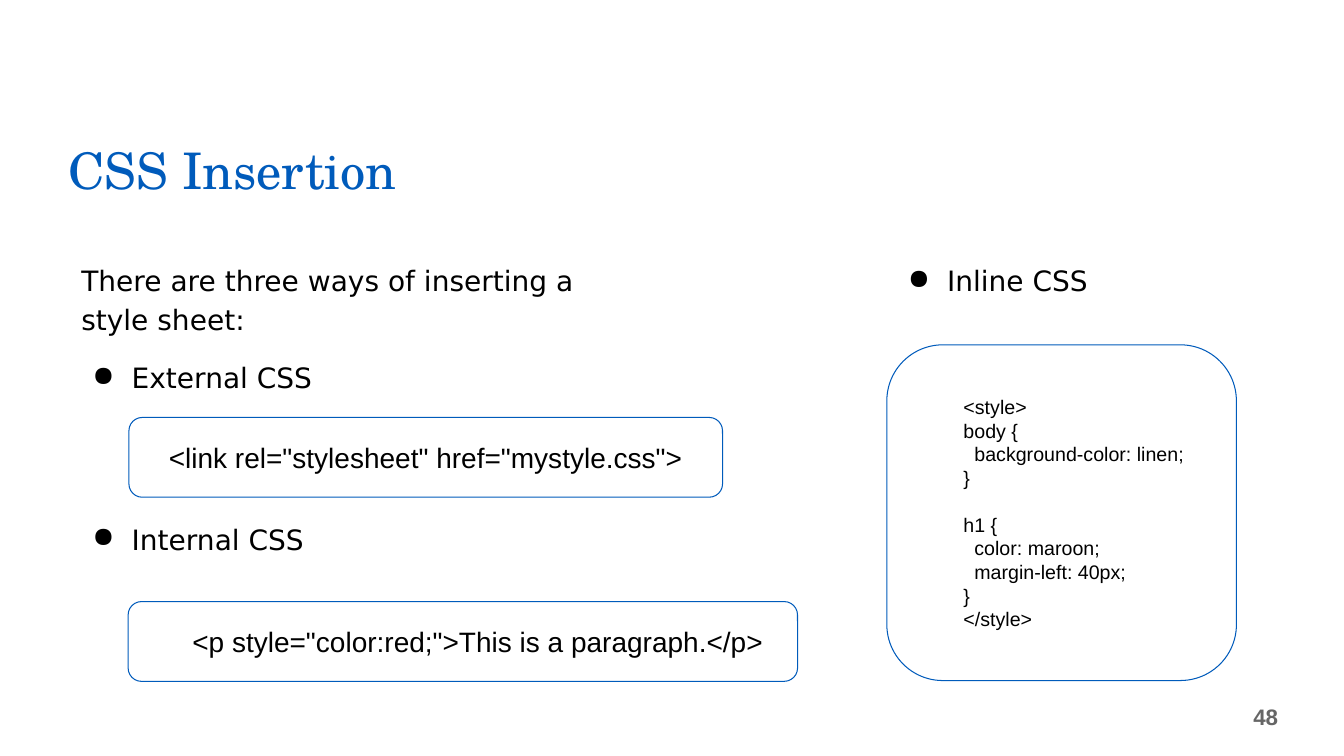
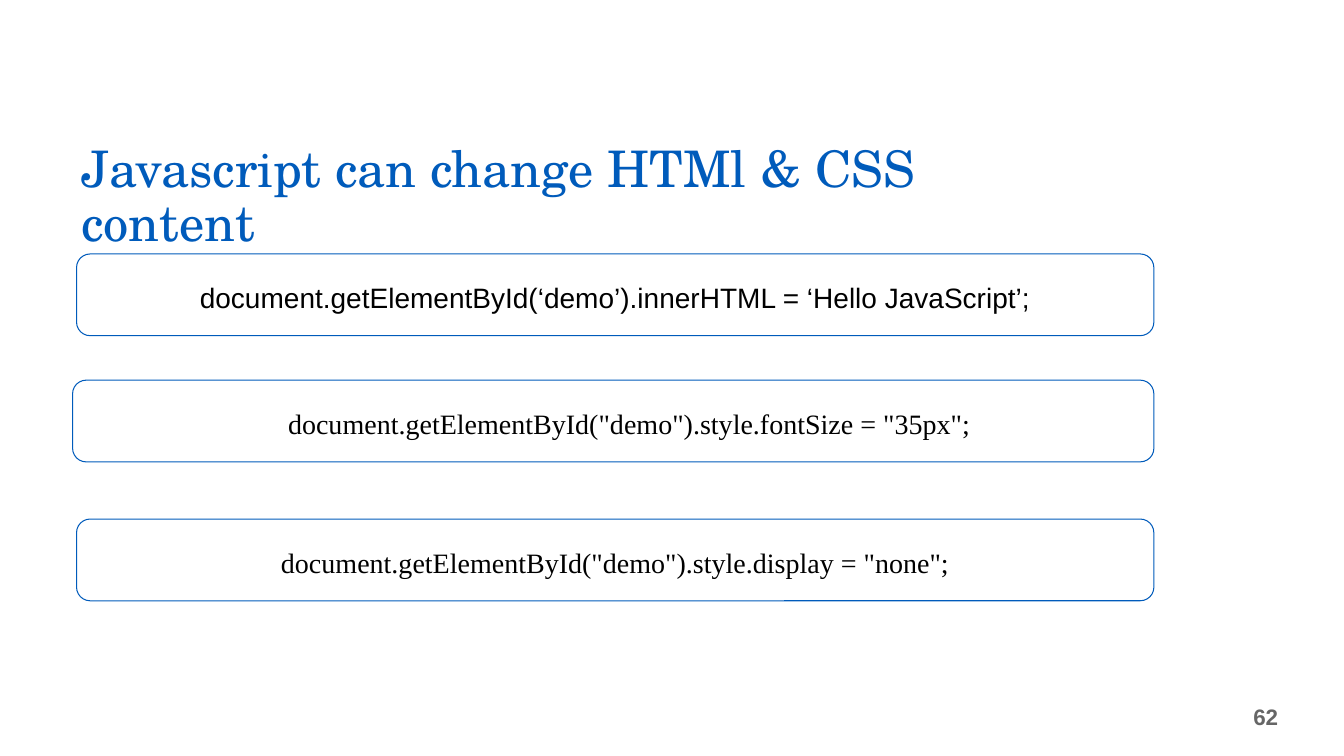
from dataclasses import dataclass
from typing import Any, Optional

from lxml.etree import SubElement
from pptx import Presentation
from pptx.dml.color import RGBColor
from pptx.enum.shapes import MSO_SHAPE
from pptx.enum.text import MSO_ANCHOR, PP_ALIGN
from pptx.oxml.ns import qn
from pptx.util import Cm, Pt


# Theme: colours, fonts and type sizes
@dataclass(frozen=True)
class Theme:
    blue: RGBColor = RGBColor(0x00, 0x5B, 0xBB)
    black: RGBColor = RGBColor(0, 0, 0)
    white: RGBColor = RGBColor(0xFF, 0xFF, 0xFF)
    grey: RGBColor = RGBColor(0x66, 0x66, 0x66)
    title_font: str = "TeX Gyre Schola"
    body_font: str = "DejaVu Sans"
    code_font: str = "Arial"
    serif_font: str = "Times New Roman"
    title_size: float = 36
    body_size: float = 20
    small_code_size: float = 14
    number_size: float = 16
    border: float = 0.75


THEME = Theme()


# Content types; lengths are in centimetres, spacing in points
@dataclass(frozen=True)
class Area:
    left: float
    top: float
    width: float
    height: float

    def lengths(self) -> tuple:
        return Cm(self.left), Cm(self.top), Cm(self.width), Cm(self.height)


@dataclass(frozen=True)
class Style:
    font: str
    size: float
    color: RGBColor = THEME.black
    bold: bool = False


@dataclass(frozen=True)
class Line:
    text: str
    align: PP_ALIGN = PP_ALIGN.LEFT
    spacing: float = 1.0
    before: float = 0
    margin: float = 0
    indent: float = 0
    bullet: Optional[str] = None


@dataclass(frozen=True)
class CodeBox:
    area: Area
    lines: list[Line]
    style: Style


TITLE = Style(THEME.title_font, THEME.title_size, THEME.blue)
BODY = Style(THEME.body_font, THEME.body_size)
CODE = Style(THEME.code_font, THEME.body_size)
SMALL_CODE = Style(THEME.code_font, THEME.small_code_size)
SERIF_CODE = Style(THEME.serif_font, THEME.body_size)
NUMBER = Style(THEME.code_font, THEME.number_size, THEME.grey, bold=True)

NUMBER_AREA = Area(21.03, 17.55, 11.43, 1.02)
INSET, SLIM_INSET = 0.25, 0.13
LOOSE = 1.15


def set_all(target: Any, values: dict[str, Any]) -> None:
    for key, value in values.items():
        setattr(target, key, value)


def add_bullet(properties: Any, character: str) -> None:
    color = SubElement(properties, qn("a:buClr"))
    SubElement(color, qn("a:srgbClr")).set("val", str(THEME.black))
    SubElement(properties, qn("a:buChar")).set("char", character)


def write(shape: Any, lines: list[Line], style: Style,
          anchor: MSO_ANCHOR, inset_y: float = INSET) -> None:
    frame = shape.text_frame
    set_all(frame, {
        "word_wrap": True, "vertical_anchor": anchor,
        "margin_left": Cm(INSET), "margin_right": Cm(INSET),
        "margin_top": Cm(inset_y), "margin_bottom": Cm(inset_y),
    })
    for index, line in enumerate(lines):
        paragraph = frame.add_paragraph() if index else frame.paragraphs[0]
        properties = paragraph._p.get_or_add_pPr()
        properties.set("marL", str(Cm(line.margin)))
        properties.set("indent", str(Cm(line.indent)))
        if line.bullet:
            add_bullet(properties, line.bullet)
        set_all(paragraph, {
            "alignment": line.align, "line_spacing": line.spacing,
            "space_before": Pt(line.before),
        })
        run = paragraph.add_run()
        run.text = line.text
        set_all(run.font, {
            "name": style.font, "size": Pt(style.size), "bold": style.bold,
        })
        run.font.color.rgb = style.color


def add_text(slide: Any, area: Area, lines: list[Line], style: Style,
             anchor: MSO_ANCHOR = MSO_ANCHOR.TOP, inset_y: float = INSET) -> None:
    write(slide.shapes.add_textbox(*area.lengths()), lines, style, anchor, inset_y)


def add_code(slide: Any, box: CodeBox) -> None:
    frame = slide.shapes.add_shape(MSO_SHAPE.ROUNDED_RECTANGLE, *box.area.lengths())
    frame.shadow.inherit = False
    frame.fill.solid()
    frame.fill.fore_color.rgb = THEME.white
    frame.line.color.rgb = THEME.blue
    frame.line.width = Pt(THEME.border)
    write(frame, box.lines, box.style, MSO_ANCHOR.MIDDLE)


def add_title(slide: Any, text: str, area: Area, anchor: MSO_ANCHOR,
              inset_y: float) -> None:
    add_text(slide, area, [Line(text, spacing=0.9)], TITLE, anchor, inset_y)


def add_number(slide: Any, number: int) -> None:
    add_text(slide, NUMBER_AREA, [Line(str(number), PP_ALIGN.RIGHT)], NUMBER,
             MSO_ANCHOR.MIDDLE, SLIM_INSET)


def bullet_line(text: str, before: float = 0) -> Line:
    return Line(text, spacing=LOOSE, before=before,
                margin=1.27, indent=-0.99, bullet="●")


# Slide: CSS insertion
STYLE_BLOCK = [
    "<style>", "body {", "  background-color: linen;", "}",
    "h1 {", "  color: maroon;", "  margin-left: 40px;", "}", "</style>",
]


def build_css_insertion(slide: Any) -> None:
    add_title(slide, "CSS Insertion", Area(1.47, 3.53, 19.3, 1.65),
              MSO_ANCHOR.BOTTOM, SLIM_INSET)
    add_number(slide, 48)
    add_text(slide, Area(1.8, 6.27, 14.27, 10.72), [
        Line("There are three ways of inserting a style sheet:", spacing=LOOSE),
        bullet_line("External CSS", before=14),
        bullet_line("Internal CSS", before=88),
    ], BODY)
    add_text(slide, Area(22.35, 6.27, 8.33, 1.37), [bullet_line("Inline CSS")], BODY)

    link_code = Line('<link rel="stylesheet" href="mystyle.css">', PP_ALIGN.CENTER)
    paragraph_code = Line('<p style="color:red;">This is a paragraph.</p>', indent=1.27)
    # The second rule stands one code line apart
    style_code = [Line(code, margin=1.27, before=17 if code == "h1 {" else 0)
                  for code in STYLE_BLOCK]
    for box in (
        CodeBox(Area(3.25, 10.52, 14.96, 2.01), [link_code], CODE),
        CodeBox(Area(22.35, 8.69, 8.81, 8.46), style_code, SMALL_CODE),
        CodeBox(Area(3.23, 15.16, 16.87, 2.01), [paragraph_code], CODE),
    ):
        add_code(slide, box)


# Slide: changing content with Javascript
def build_javascript(slide: Any) -> None:
    add_number(slide, 62)
    html_code = Line("document.getElementById(‘demo’).innerHTML = ‘Hello JavaScript’;",
                     PP_ALIGN.CENTER, LOOSE)
    size_code = Line('document.getElementById("demo").style.fontSize = "35px";',
                     spacing=LOOSE, margin=3.81, indent=1.27)
    display_code = Line('document.getElementById("demo").style.display = "none";',
                        PP_ALIGN.CENTER, LOOSE)
    for box in (
        CodeBox(Area(1.93, 6.4, 27.15, 2.06), [html_code], CODE),
        CodeBox(Area(1.83, 9.58, 27.25, 2.06), [size_code], SERIF_CODE),
        CodeBox(Area(1.93, 13.08, 27.15, 2.06), [display_code], SERIF_CODE),
    ):
        add_code(slide, box)
    add_title(slide, "Javascript can change HTMl & CSS content",
              Area(1.8, 3.38, 26.09, 1.9), MSO_ANCHOR.TOP, INSET)


def main() -> None:
    deck = Presentation()
    set_all(deck, {"slide_width": Cm(33.87), "slide_height": Cm(19.05)})
    blank = deck.slide_layouts[6]
    for build in (build_css_insertion, build_javascript):
        build(deck.slides.add_slide(blank))
    deck.save("out.pptx")


if __name__ == "__main__":
    main()
